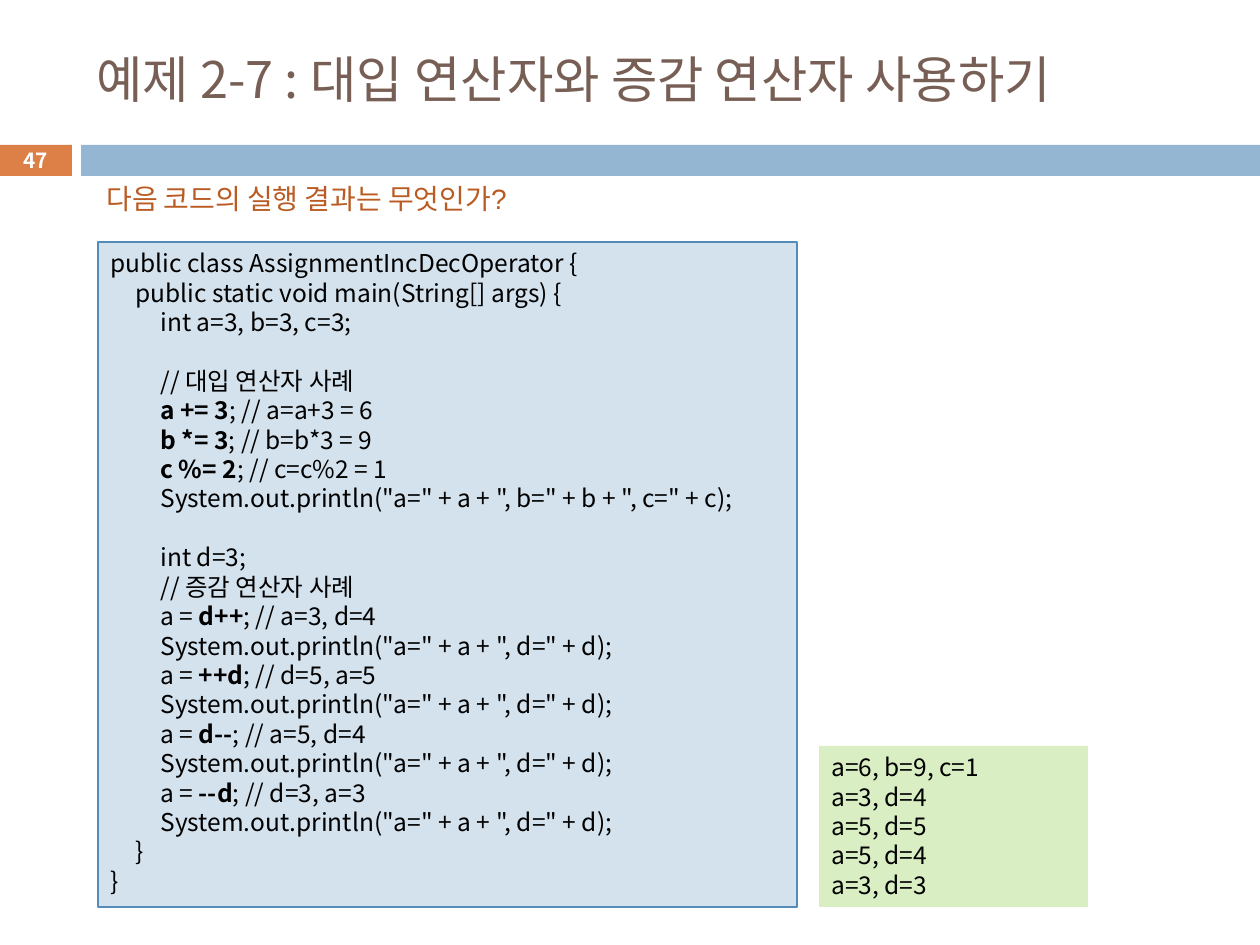
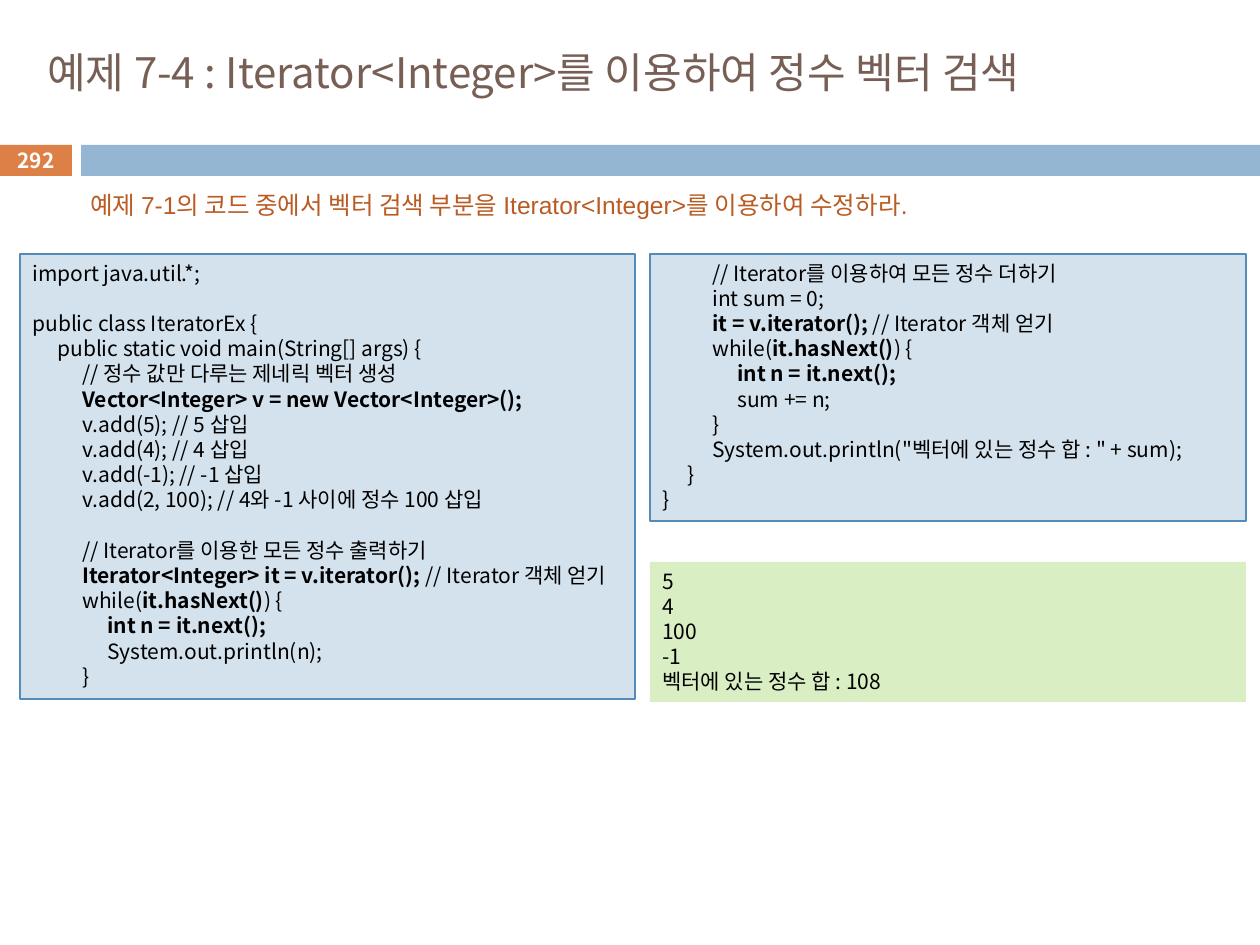
from dataclasses import dataclass

from lxml import etree
from pptx import Presentation
from pptx import util as u
from pptx.dml.color import RGBColor
from pptx.enum import shapes, text
from pptx.oxml import ns

PX = u.Inches(10) / 1260
PAGE_WIDTH, PAGE_HEIGHT = 1260, 945


@dataclass(frozen=True)
class Theme:
    body_font: str = "Noto Sans CJK KR"
    task_font: str = "Arial"
    title: str = "775F55"
    task: str = "B95B22"
    ink: str = "000000"
    white: str = "FFFFFF"
    number_band: str = "DD8047"
    wide_band: str = "94B6D2"
    code_fill: str = "D4E2ED"
    code_line: str = "558BB8"
    output_fill: str = "DAEEC4"
    number_size: float = 11.9
    line_pitch: float = 1.2
    tab_step: int = 25


THEME = Theme()

OPERATOR_CODE = """\
public class AssignmentIncDecOperator {
\tpublic static void main(String[] args) {
\t\tint a=3, b=3, c=3;

\t\t// 대입 연산자 사례
\t\t**a += 3**; // a=a+3 = 6
\t\t**b *= 3**; // b=b*3 = 9
\t\t**c %= 2**; // c=c%2 = 1
\t\tSystem.out.println("a=" + a + ", b=" + b + ", c=" + c);

\t\tint d=3;
\t\t// 증감 연산자 사례
\t\ta = **d++**; // a=3, d=4
\t\tSystem.out.println("a=" + a + ", d=" + d);
\t\ta = **++d**; // d=5, a=5
\t\tSystem.out.println("a=" + a + ", d=" + d);
\t\ta = **d--**; // a=5, d=4
\t\tSystem.out.println("a=" + a + ", d=" + d);
\t\ta = **--d**; // d=3, a=3
\t\tSystem.out.println("a=" + a + ", d=" + d);
\t}
}"""

OPERATOR_OUTPUT = """\
a=6, b=9, c=1
a=3, d=4
a=5, d=5
a=5, d=4
a=3, d=3"""

VECTOR_CODE = """\
import java.util.*;

public class IteratorEx {
\tpublic static void main(String[] args) {
\t\t// 정수 값만 다루는 제네릭 벡터 생성
\t\t**Vector<Integer> v = new Vector<Integer>();**
\t\tv.add(5); // 5 삽입
\t\tv.add(4); // 4 삽입
\t\tv.add(-1); // -1 삽입
\t\tv.add(2, 100); // 4와 -1 사이에 정수 100 삽입

\t\t// Iterator를 이용한 모든 정수 출력하기
\t\t**Iterator<Integer> it = v.iterator(); **// Iterator 객체 얻기
\t\twhile(**it.hasNext()**) {
\t\t\t**int n = it.next();**
\t\t\tSystem.out.println(n);
\t\t}"""

SUM_CODE = """\
\t\t// Iterator를 이용하여 모든 정수 더하기
\t\tint sum = 0;
\t\t**it = v.iterator(); **// Iterator 객체 얻기
\t\twhile(**it.hasNext()**) {
\t\t\t**int n = it.next();**
\t\t\tsum += n;
\t\t}
\t\tSystem.out.println("벡터에 있는 정수 합 : " + sum);
\t}
}"""

VECTOR_OUTPUT = """\
5
4
100
-1
벡터에 있는 정수 합 : 108"""


def emu(box):
    return [round(length * PX) for length in box]


def add_span(para, words, size, color, font=THEME.body_font, bold=False):
    span = para.add_run()
    span.text = words
    span.font.size = u.Pt(size)
    span.font.bold = bold
    span.font.name = font
    span.font.color.rgb = RGBColor.from_string(color)
    east_asian = etree.SubElement(span.font._element, ns.qn("a:ea"))
    east_asian.set("typeface", THEME.body_font)


def add_line(page, box, words, size, color, font=THEME.body_font, bold=False,
             anchor=text.MSO_ANCHOR.MIDDLE, align=text.PP_ALIGN.LEFT):
    """Put one line of text in its own text box."""
    frame = page.shapes.add_textbox(*emu(box)).text_frame
    frame.word_wrap = True
    frame.vertical_anchor = anchor
    para = frame.paragraphs[0]
    para.alignment = align
    add_span(para, words, size, color, font, bold)


def add_rectangle(page, box, fill, line=None):
    shape = page.shapes.add_shape(shapes.MSO_SHAPE.RECTANGLE, *emu(box))
    shape.shadow.inherit = False
    shape.fill.solid()
    shape.fill.fore_color.rgb = RGBColor.from_string(fill)
    if line:
        shape.line.color.rgb = RGBColor.from_string(line)
        shape.line.width = u.Pt(0.75)
    else:
        shape.line.fill.background()
    return shape


def add_tab_stops(para):
    stops = etree.SubElement(para._p.get_or_add_pPr(), ns.qn("a:tabLst"))
    for level in range(1, 4):
        position = round(level * THEME.tab_step * PX)
        etree.SubElement(stops, ns.qn("a:tab"), pos=str(position), algn="l")


def add_listing(page, box, listing, size, fill, line=None):
    """Fill a panel with lines; ** toggles bold, an empty line becomes a gap."""
    frame = add_rectangle(page, box, fill, line).text_frame
    frame.word_wrap = True
    frame.vertical_anchor = text.MSO_ANCHOR.TOP
    pitch = u.Pt(size * THEME.line_pitch)
    para, gap = frame.paragraphs[0], 0
    for number, row in enumerate(listing.split("\n")):
        if not row:
            gap = pitch
            continue
        if number:
            para = frame.add_paragraph()
        para.alignment = text.PP_ALIGN.LEFT
        if row.startswith("\t"):
            add_tab_stops(para)
        para.line_spacing = pitch
        para.space_before, gap = gap, 0
        for index, words in enumerate(row.split("**")):
            if words:
                add_span(para, words, size, THEME.ink, bold=index % 2 == 1)


def add_code(page, box, listing, size):
    add_listing(page, box, listing, size, THEME.code_fill, THEME.code_line)


def add_output(page, box, listing, size):
    add_listing(page, box, listing, size, THEME.output_fill)


def add_page(deck, number):
    """Add a blank page with the two bands and the page number."""
    page = deck.slides.add_slide(deck.slide_layouts[6])
    top, height, number_width, gap = 145, 31, 72, 9
    wide_left = number_width + gap
    number_box = (0, top, number_width, height)
    add_rectangle(page, number_box, THEME.number_band)
    add_rectangle(page, (wide_left, top, PAGE_WIDTH - wide_left, height), THEME.wide_band)
    add_line(page, number_box, str(number), THEME.number_size, THEME.white,
             bold=True, align=text.PP_ALIGN.CENTER)
    return page


def add_title(page, box, words, size):
    add_line(page, box, words, size, THEME.title)


def add_task(page, box, words, size):
    add_line(page, box, words, size, THEME.task, THEME.task_font,
             anchor=text.MSO_ANCHOR.TOP)


def operator_page(deck):
    page = add_page(deck, 47)
    size, top, height = 14, 242, 665
    output_height = 161
    add_title(page, (84, 32, 1124, 93), "예제 2-7 : 대입 연산자와 증감 연산자 사용하기", 28.8)
    add_task(page, (94, 175, 474, 47), "다음 코드의 실행 결과는 무엇인가?", 16)
    add_code(page, (98, top, 699, height), OPERATOR_CODE, size)
    add_output(page, (819, top + height - output_height, 269, output_height),
               OPERATOR_OUTPUT, size)


def iterator_page(deck):
    page = add_page(deck, 292)
    size, top, right_left, right_width = 12, 254, 650, 596
    add_title(page, (35, 16, 1197, 112),
              "예제 7-4 : Iterator<Integer>를 이용하여 정수 벡터 검색", 24)
    add_task(page, (78, 184, 1147, 43),
             "예제 7-1의 코드 중에서 벡터 검색 부분을 Iterator<Integer>를 이용하여 수정하라.", 14)
    add_code(page, (20, top, 615, 445), VECTOR_CODE, size)
    add_code(page, (right_left, top, right_width, 267), SUM_CODE, size)
    add_output(page, (right_left, 562, right_width, 140), VECTOR_OUTPUT, size)


def main():
    deck = Presentation()
    deck.slide_width, deck.slide_height = emu((PAGE_WIDTH, PAGE_HEIGHT))
    operator_page(deck)
    iterator_page(deck)
    deck.save("out.pptx")


if __name__ == "__main__":
    main()
